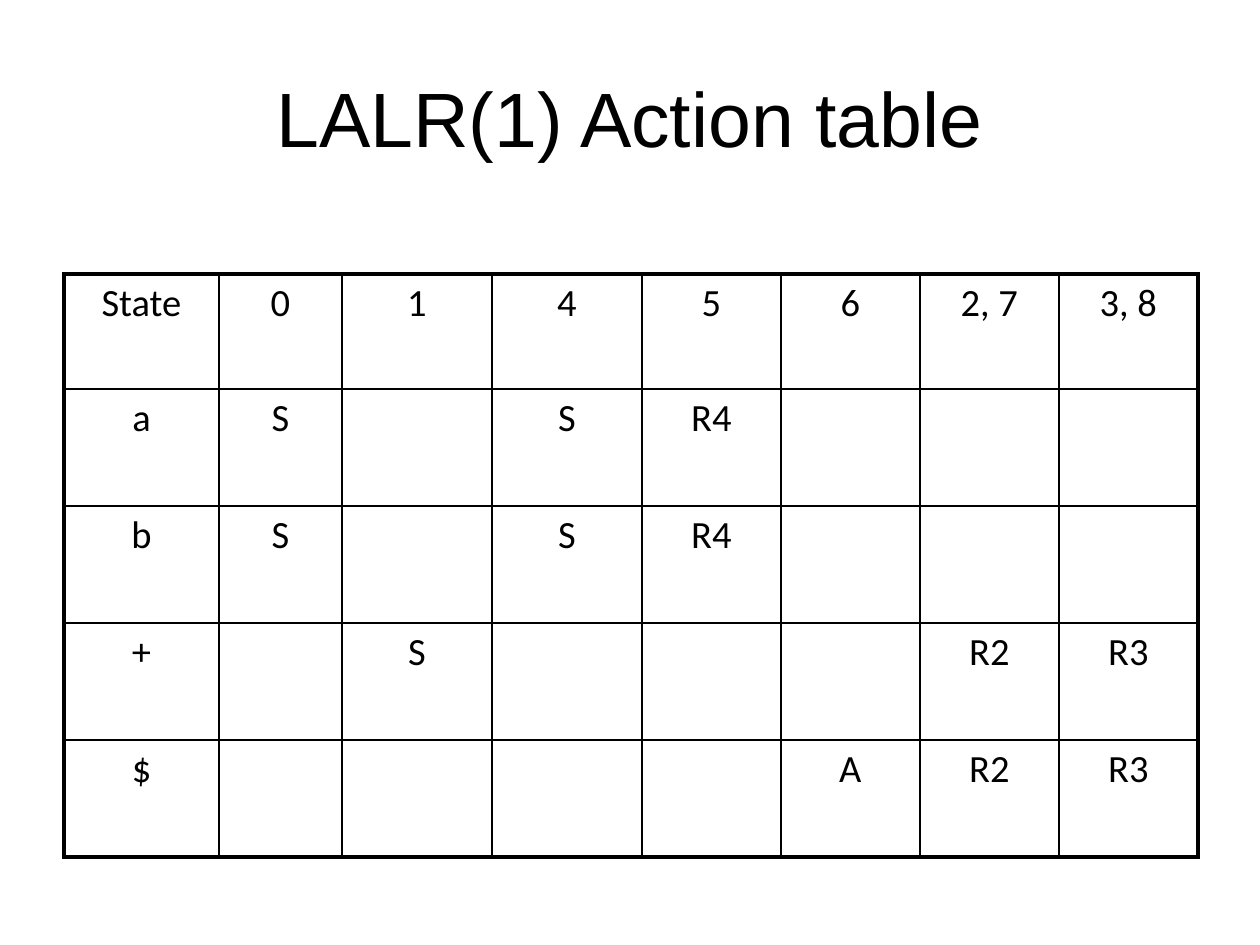
from lxml.etree import SubElement
from pptx import Presentation
from pptx.dml.color import RGBColor
from pptx.enum.text import MSO_ANCHOR, PP_ALIGN
from pptx.oxml.ns import qn
from pptx.util import Pt

SCALE = 914400 // 126
COLORS = {"ink": "000000"}
THIN, THICK = 1, 2.25
COLS = [155, 123, 150, 150] + [139] * 4
ROWS = [115] + [117] * 4
ACTIONS = [
    ["State", "0", "1", "4", "5", "6", "2, 7", "3, 8"],
    ["a", "S", "", "S", "R4", "", "", ""],
    ["b", "S", "", "S", "R4", "", "", ""],
    ["+", "", "S", "", "", "", "R2", "R3"],
    ["$", "", "", "", "", "A", "R2", "R3"],
]


def px(count):
    """Turn pixels into EMU."""
    return count * SCALE


def write(frame, text, font, size):
    """Put one centred run into a text frame."""
    para = frame.paragraphs[0]
    para.alignment = PP_ALIGN.CENTER
    run = para.add_run()
    run.text = text
    run.font.name = font
    run.font.size = Pt(size)
    run.font.color.rgb = RGBColor.from_string(COLORS["ink"])


def add_title(slide, text):
    """Add the centred slide title."""
    box = slide.shapes.add_textbox(px(63), px(38), px(1134), px(158))
    frame = box.text_frame
    frame.word_wrap = True
    frame.vertical_anchor = MSO_ANCHOR.MIDDLE
    write(frame, text, "Arial", 44)


def set_edge(cell, side, width):
    """Draw one border of a cell."""
    props = cell._tc.get_or_add_tcPr()
    line = SubElement(props, qn(f"a:ln{side}"), w=str(Pt(width)))
    fill = SubElement(line, qn("a:solidFill"))
    SubElement(fill, qn("a:srgbClr"), val=COLORS["ink"])


def add_grid(slide, data):
    """Add the action table with a thick outer frame."""
    shape = slide.shapes.add_table(
        len(ROWS), len(COLS), px(64), px(274), px(sum(COLS)), px(sum(ROWS))
    )
    table = shape.table
    table.first_row = table.horz_banding = False
    for col, width in zip(table.columns, COLS):
        col.width = px(width)
    for row, height in zip(table.rows, ROWS):
        row.height = px(height)
    for i, line in enumerate(data):
        for j, text in enumerate(line):
            cell = table.cell(i, j)
            outer = {
                "L": j == 0,
                "R": j == len(COLS) - 1,
                "T": i == 0,
                "B": i == len(ROWS) - 1,
            }
            for side, edge in outer.items():
                set_edge(cell, side, THICK if edge else THIN)
            cell.fill.background()
            if text:
                write(cell.text_frame, text, "Calibri", 22)


def main():
    """Build and save the slide."""
    deck = Presentation()
    deck.slide_width, deck.slide_height = px(1260), px(945)
    slide = deck.slides.add_slide(deck.slide_layouts[6])
    add_title(slide, "LALR(1) Action table")
    add_grid(slide, ACTIONS)
    deck.save("out.pptx")


if __name__ == "__main__":
    main()
